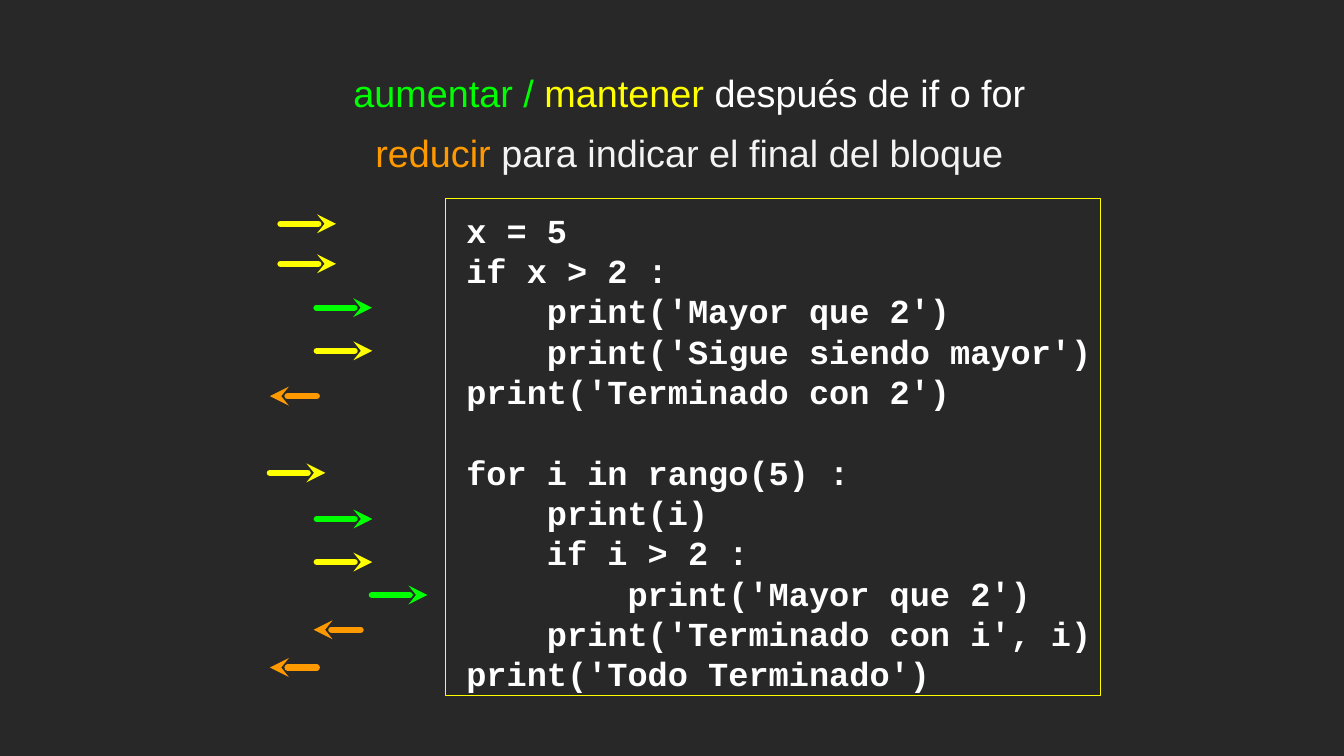
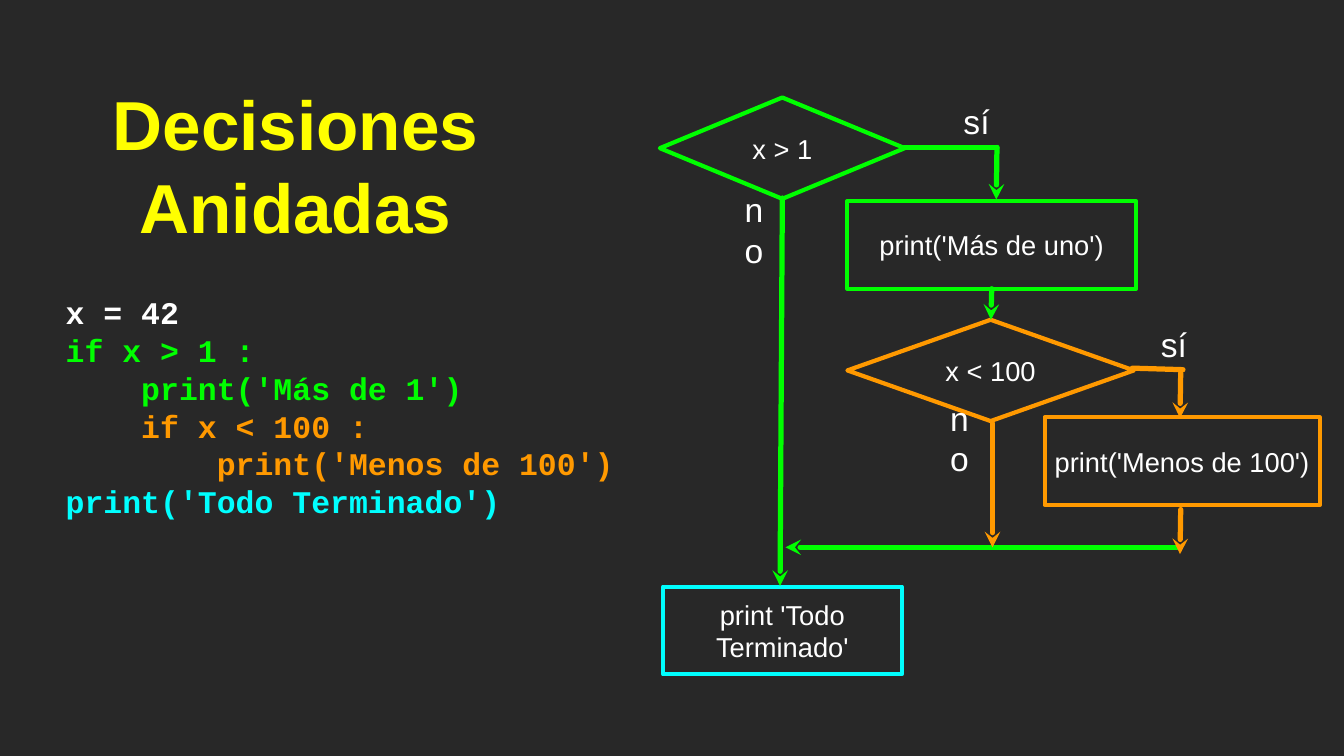
from lxml import etree
from pptx import Presentation
from pptx import util as u
from pptx.dml.color import RGBColor
from pptx.enum import shapes, text
from pptx.oxml.ns import qn

DARK = RGBColor(0x28, 0x28, 0x28)
WHITE = RGBColor(0xFF, 0xFF, 0xFF)
PALE = RGBColor(0xF3, 0xF3, 0xF3)
YELLOW = RGBColor(0xFF, 0xFF, 0x00)
GREEN = RGBColor(0x00, 0xFF, 0x00)
ORANGE = RGBColor(0xFF, 0x99, 0x00)
CYAN = RGBColor(0x00, 0xFF, 0xFF)
LEADING = 1.2

prs = Presentation()
prs.slide_width, prs.slide_height = u.Inches(17.78), u.Inches(10)
prs.slide_master.background.fill.solid()
prs.slide_master.background.fill.fore_color.rgb = DARK
TITLE_ONLY = prs.slide_layouts[5]

# Positions are percentages of the slide's width and height
COL, ROW = prs.slide_width / 100, prs.slide_height / 100
RECT, DIAMOND = shapes.MSO_SHAPE.RECTANGLE, shapes.MSO_SHAPE.DIAMOND
LEFT, CENTER = text.PP_ALIGN.LEFT, text.PP_ALIGN.CENTER


def write(sp, at, lines, size=26, font="Arial", bold=False, align=CENTER,
          insets=(0, 0, 0, 0), gaps=None, outline=None, width=4):
    """Place a shape; each line is a list of (text, colour) runs."""
    sp.left, sp.top, sp.width, sp.height = [
        int(v * unit) for v, unit in zip(at, (COL, ROW, COL, ROW))]
    if outline:
        sp.shadow.inherit = False
        sp.fill.background()
        sp.line.color.rgb = outline
        sp.line.width = u.Pt(width)
    tf = sp.text_frame
    tf.word_wrap = True
    tf.auto_size = text.MSO_AUTO_SIZE.NONE
    tf.vertical_anchor = text.MSO_ANCHOR.MIDDLE
    tf.margin_left, tf.margin_top, tf.margin_right, tf.margin_bottom = [
        u.Inches(v) for v in insets]
    for i, runs in enumerate(lines):
        p = tf.add_paragraph() if i else tf.paragraphs[0]
        p.alignment = align
        p.line_spacing = u.Pt(size * LEADING)
        p.space_before = u.Pt((gaps or {}).get(i, 0))
        for words, colour in runs:
            r = p.add_run()
            r.text = words
            r.font.name, r.font.size, r.font.bold = font, u.Pt(size), bold
            r.font.color.rgb = colour


def draw_line(s, x1, y1, x2, y2, colour, width, arrow=True):
    """Draw a round-capped line, with its arrowhead at the end point."""
    c = s.shapes.add_connector(shapes.MSO_CONNECTOR.STRAIGHT, int(x1 * COL),
                               int(y1 * ROW), int(x2 * COL), int(y2 * ROW))
    c.line.color.rgb = colour
    c.line.width = u.Pt(width)
    ln = c.line._ln
    ln.set("cap", "rnd")
    etree.SubElement(ln, qn("a:round"))
    if arrow:
        etree.SubElement(ln, qn("a:tailEnd"), type="stealth")
    etree.SubElement(c._element.spPr, qn("a:effectLst"))


# Slide 1: indentation rules
s = prs.slides.add_slide(TITLE_ONLY)
write(s.shapes.title, (25.48, 10.5, 51.63, 13.7), [
    [("aumentar / ", GREEN), ("mantener ", YELLOW),
     ("después de if o for", WHITE)],
    [("reducir ", ORANGE), ("para indicar el final del bloque", PALE)],
], size=36, insets=(0, 0, 0, 0.23), gaps={1: 14.4})

# Code box; the gap separates the two blocks
code = """x = 5
if x > 2 :
    print('Mayor que 2')
    print('Sigue siendo mayor')
print('Terminado con 2')
for i in rango(5) :
    print(i)
    if i > 2 :
        print('Mayor que 2')
    print('Terminado con i', i)
print('Todo Terminado')"""
write(s.shapes.add_shape(RECT, 0, 0, 0, 0), (33.18, 26.3, 48.71, 65.7),
      [[(row, WHITE)] for row in code.split("\n")], size=32,
      font="Courier New", bold=True, align=LEFT, insets=(0.27, 0.12, 0, 0),
      gaps={5: 32 * LEADING}, outline=YELLOW, width=1)

# Indentation arrows: orange ones point back
for x, y, colour in [
    (20.87, 29.6, YELLOW), (20.87, 34.9, YELLOW), (23.55, 40.7, GREEN),
    (23.57, 46.4, YELLOW), (23.57, 52.4, ORANGE), (20.08, 62.55, YELLOW),
    (23.57, 68.65, GREEN), (23.57, 74.35, YELLOW), (27.67, 78.7, GREEN),
    (26.83, 83.3, ORANGE), (23.57, 88.3, ORANGE),
]:
    step = -3.49 if colour == ORANGE else 4.13
    draw_line(s, x, y, x + step, y, colour, 6)

# Slide 2: nested decisions
s = prs.slides.add_slide(TITLE_ONLY)
write(s.shapes.title, (7.2, 9.9, 29.58, 23.7),
      [[("Decisiones Anidadas", YELLOW)]], size=66, bold=True,
      insets=(0.04,) * 4)

# Code, coloured like the flowchart
write(s.shapes.add_textbox(0, 0, 0, 0), (4.89, 35.1, 42.74, 36.4), [
    [("x = 42", WHITE)],
    [("if x > 1 :", GREEN)],
    [("    print('Más de 1')", GREEN)],
    [("    if x < 100 :", ORANGE)],
    [("        print('Menos de 100')", ORANGE)],
    [("print('Todo Terminado')", CYAN)],
], size=30, font="Courier New", bold=True, align=LEFT, insets=(0, 0.1, 0, 0))

# Flowchart steps
for kind, x, y, w, colour, words in [
    (DIAMOND, 49.1, 12.9, 18.22, GREEN, "x > 1"),
    (RECT, 63.05, 26.6, 21.48, GREEN, "print('Más de uno')"),
    (DIAMOND, 63.05, 42.3, 21.32, ORANGE, "x < 100"),
    (RECT, 77.73, 55.2, 20.47, ORANGE, "print('Menos de 100')"),
    (RECT, 49.33, 77.6, 17.77, CYAN, "print 'Todo Terminado'"),
]:
    h = 13.4 if kind == DIAMOND else 11.6
    write(s.shapes.add_shape(kind, 0, 0, 0, 0), (x, y, w, h),
          [[(words, WHITE)]], outline=colour)

# Flowchart paths
for x1, y1, x2, y2, colour, arrow in [
    (67.27, 19.5, 74.18, 19.5, GREEN, False),
    (74.18, 19.5, 74.13, 26.4, GREEN, True),
    (58.21, 26.2, 58.04, 77.5, GREEN, True),
    (84.25, 48.7, 88.02, 48.9, ORANGE, False),
    (87.85, 49.3, 87.8, 55.3, ORANGE, True),
    (73.79, 38.2, 73.73, 42.3, GREEN, True),
    (87.63, 72.4, 58.44, 72.4, GREEN, True),
    (73.85, 56, 73.85, 72.4, ORANGE, True),
    (87.85, 67.4, 87.8, 73.3, ORANGE, True),
]:
    draw_line(s, x1, y1, x2, y2, colour, 5, arrow)

# Branch labels
for words, x, y, w in [("sí", 69.85, 13.5, 5.62), ("sí", 84.53, 42.9, 5.62),
                       ("no", 70.02, 55.4, 2.75), ("no", 54.72, 27.8, 2.75)]:
    write(s.shapes.add_textbox(0, 0, 0, 0), (x, y, w, 5.1),
          [[(words, WHITE)]], size=32)

prs.save("out.pptx")
